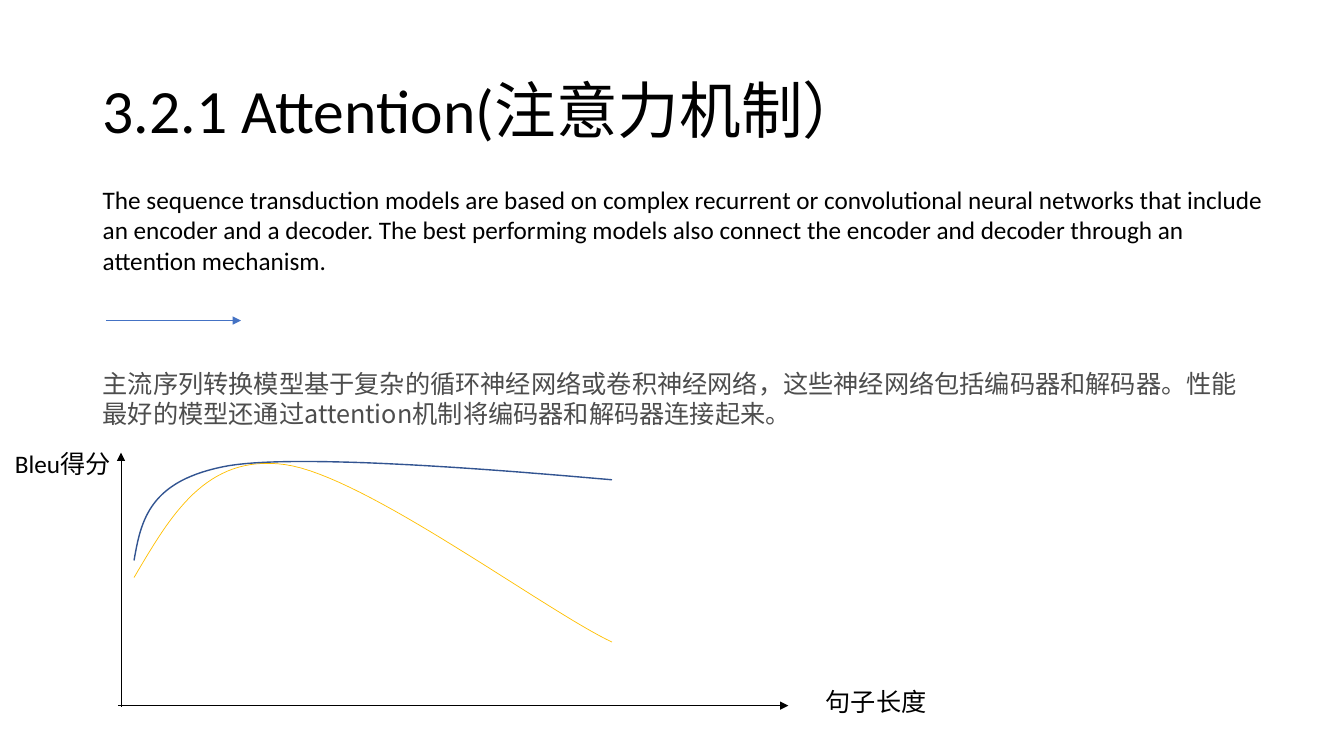
"""Slide on the attention mechanism, with a sketch of Bleu score against sentence length."""
from lxml import etree
from pptx import Presentation
from pptx.dml.color import RGBColor
from pptx.enum.shapes import MSO_CONNECTOR
from pptx.enum.text import MSO_ANCHOR
from pptx.oxml.ns import qn
from pptx.util import Inches, Pt

STRAIGHT = MSO_CONNECTOR.STRAIGHT
TOP, MIDDLE = MSO_ANCHOR.TOP, MSO_ANCHOR.MIDDLE
THEME = {
    "latin": "Calibri", "cjk": "Noto Sans CJK SC",
    "title": 44, "body": 18, "thin": 0.5, "medium": 1,
    "ink": "000000", "grey": "4D4D4D", "blue": "4472C4",
    "navy": "325491", "amber": "FFC000",
}
WIDTH, HEIGHT = 13.33, 7.5
MARGIN = 0.92
CONTENT = WIDTH - 2 * MARGIN
AXIS_X, AXIS_Y = 1.2, 7
CURVE_STEPS = 32

deck = Presentation()
deck.slide_width, deck.slide_height = Inches(WIDTH), Inches(HEIGHT)
slide = deck.slides.add_slide(deck.slide_layouts[6])


def add_text(words, left, top, width, height, size="body", font="latin",
             color="ink", anchor=TOP, spacing=1.0):
    frame = slide.shapes.add_textbox(
        Inches(left), Inches(top), Inches(width), Inches(height)).text_frame
    frame.word_wrap = True
    frame.vertical_anchor = anchor
    paragraph = frame.paragraphs[0]
    paragraph.text = words
    paragraph.line_spacing = spacing
    paragraph.font.size = Pt(THEME[size])
    paragraph.font.color.rgb = RGBColor.from_string(THEME[color])
    paragraph.font.name = THEME[font]
    defaults = paragraph._p.pPr.find(qn("a:defRPr"))
    etree.SubElement(defaults, qn("a:ea"), typeface=THEME["cjk"])


def bezier(start, control_1, control_2, end):
    points = []
    for step in range(1, CURVE_STEPS + 1):
        t = step / CURVE_STEPS
        weights = ((1 - t) ** 3, 3 * t * (1 - t) ** 2, 3 * t ** 2 * (1 - t), t ** 3)
        corners = (start, control_1, control_2, end)
        points.append(tuple(
            Inches(sum(w * corner[axis] for w, corner in zip(weights, corners)))
            for axis in (0, 1)))
    return points


add_text("3.2.1 Attention(注意力机制）", MARGIN, 0.4, CONTENT, 1.45,
         size="title", anchor=MIDDLE, spacing=0.9)
add_text("The sequence transduction models are based on complex recurrent or "
         "convolutional neural networks that include an encoder and a decoder. "
         "The best performing models also connect the encoder and decoder "
         "through an attention mechanism.", MARGIN, 1.78, 11.88, 1.01)
add_text("主流序列转换模型基于复杂的循环神经网络或卷积神经网络，这些神经网络包括编码器和解码器。"
         "性能最好的模型还通过attention机制将编码器和解码器连接起来。",
         MARGIN, 3.6, CONTENT, 0.71, font="cjk", color="grey")
add_text("句子长度", 8.09, 6.76, 1.21, 0.4)
add_text("Bleu得分", 0.05, 4.4, 1.16, 0.4)

arrows = [
    ((1.05, 3.18), (2.39, 3.18), "blue"),
    ((AXIS_X - 0.03, AXIS_Y), (7.82, AXIS_Y), "ink"),
    ((AXIS_X, AXIS_Y + 0.01), (AXIS_X, 4.49), "ink"),
]
for tail, tip, color in arrows:
    arrow = slide.shapes.add_connector(STRAIGHT, *map(Inches, tail + tip))
    arrow.line.color.rgb = RGBColor.from_string(THEME[color])
    arrow.line.width = Pt(THEME["thin"])
    etree.SubElement(arrow.line._get_or_add_ln(), qn("a:tailEnd"), type="triangle")
    etree.SubElement(arrow._element.spPr, qn("a:effectLst"))

score_curves = [
    ("amber", "thin", [(1.33, 5.73), (1.69, 5.12), (2.04, 4.5), (2.83, 4.61),
                       (3.62, 4.72), (5.41, 6.06), (6.07, 6.37)]),
    ("navy", "medium", [(1.33, 5.56), (1.4, 5.16), (1.48, 4.76), (2.27, 4.62),
                        (3.06, 4.49), (5.37, 4.7), (6.07, 4.76)]),
]
for color, weight, knots in score_curves:
    builder = slide.shapes.build_freeform(*map(Inches, knots[0]))
    builder.add_line_segments(bezier(*knots[:4]) + bezier(*knots[3:]), close=False)
    curve = builder.convert_to_shape()
    curve.shadow.inherit = False
    curve.fill.background()
    curve.line.color.rgb = RGBColor.from_string(THEME[color])
    curve.line.width = Pt(THEME[weight])

deck.save("out.pptx")
